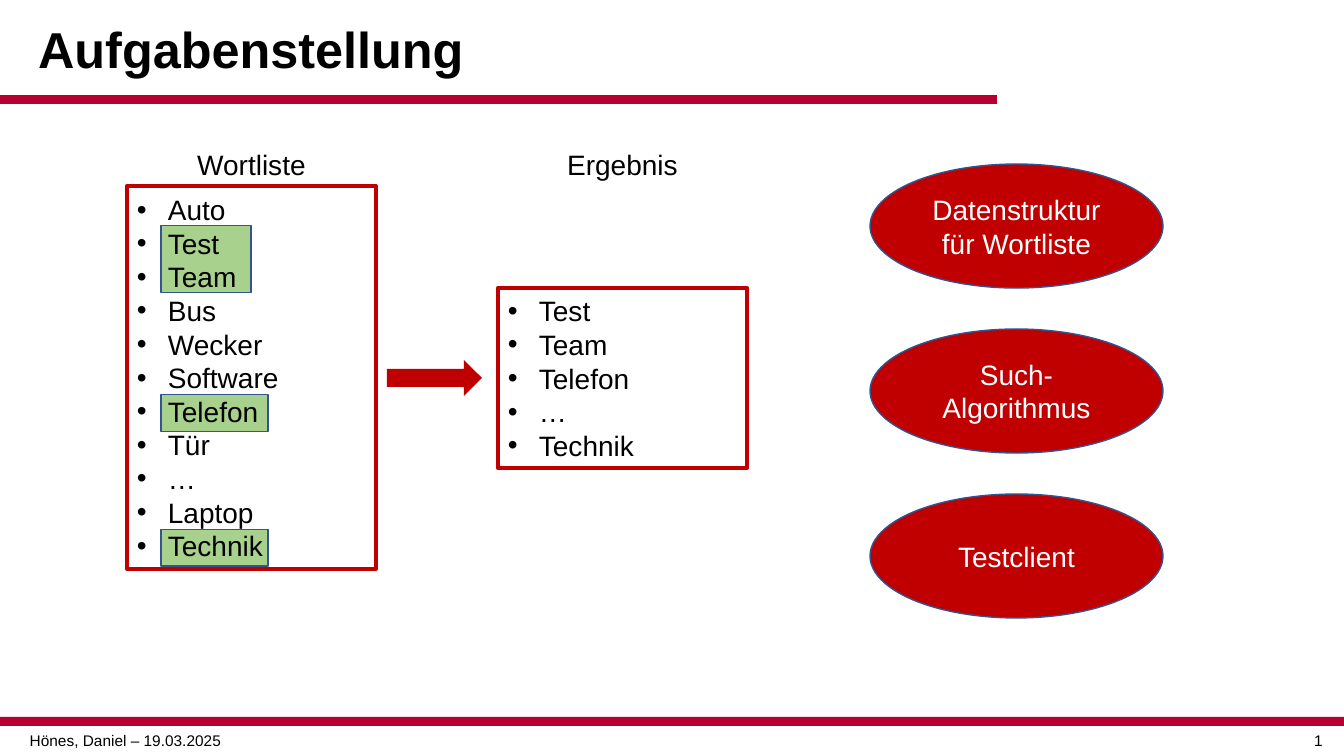
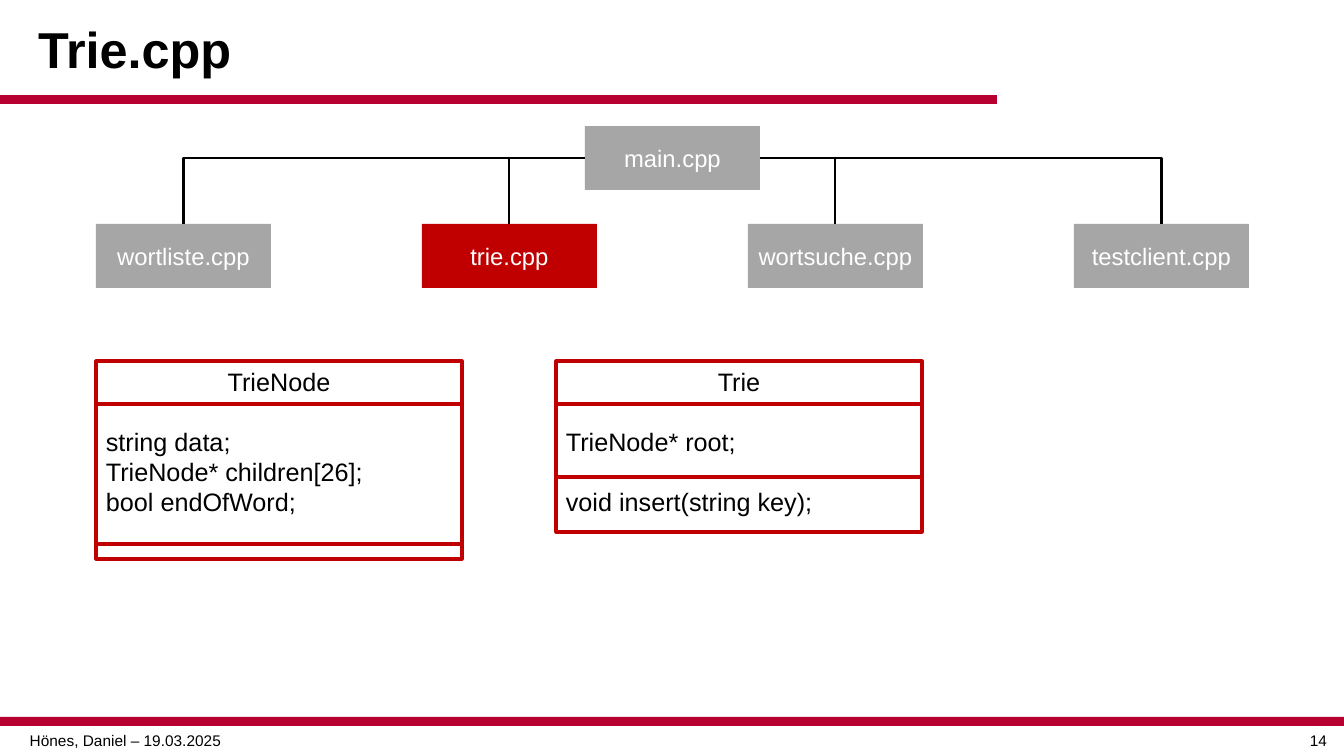
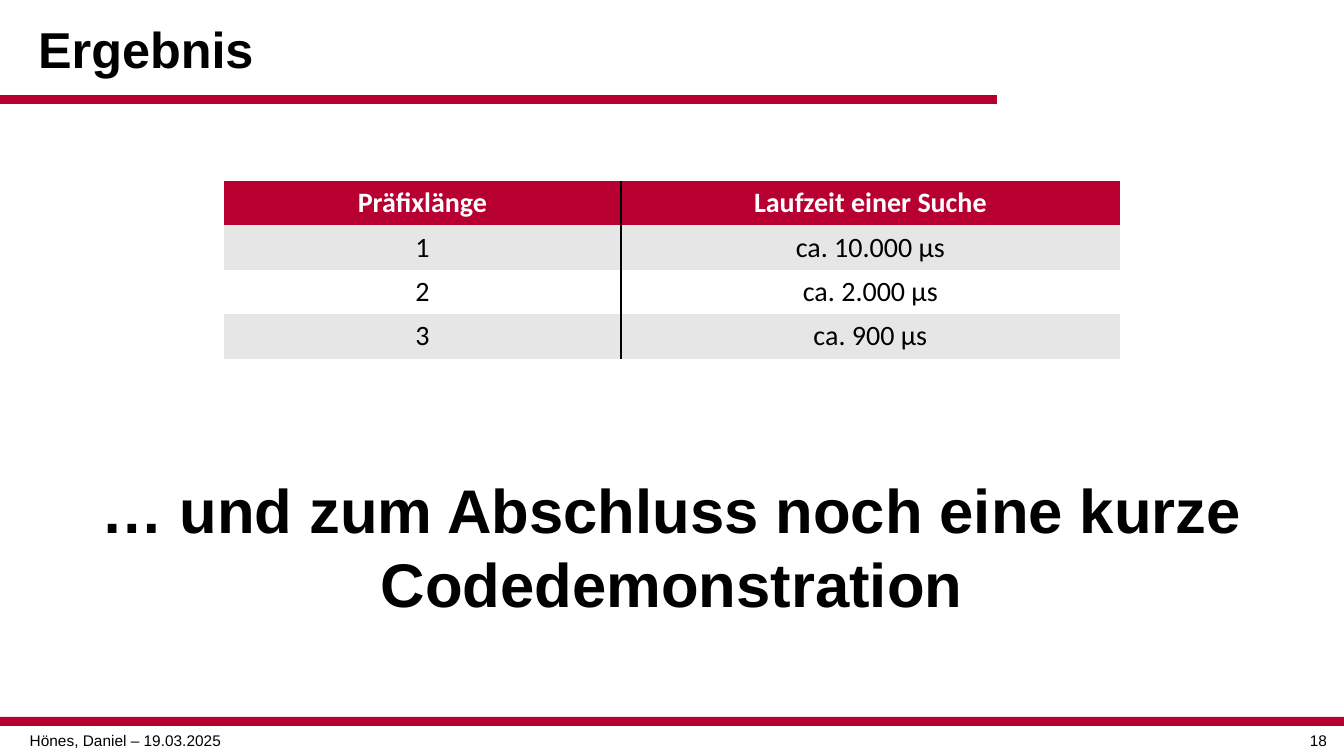
from lxml.etree import SubElement
from pptx import Presentation
from pptx.dml.color import RGBColor
from pptx.enum.shapes import MSO_CONNECTOR, MSO_SHAPE
from pptx.enum.text import MSO_ANCHOR, MSO_AUTO_SIZE, PP_ALIGN
from pptx.oxml import parse_xml
from pptx.oxml.ns import nsdecls, qn
from pptx.util import Emu, Pt

SLIDE_W, SLIDE_H = 1344, 756
SCALE = 12192000 / SLIDE_W
COLORS = {
    "band": "B70031", "red": "C00000", "green": "A9D18E", "blue": "325491",
    "gray": "A6A6A6", "stripe": "E6E6E6", "black": "000000", "white": "FFFFFF",
}
NO_TABLE_STYLE = "{2D5ABB26-0587-4C30-8999-92F81FD0307C}"
TITLE_FORMAT = {"size": 36, "bold": True}
BULLET_INDENT = 31
INSET = 6


def px(length):
    return Emu(round(length * SCALE))


def px_box(*lengths):
    return [px(length) for length in lengths]


def rgb(name):
    return RGBColor.from_string(COLORS[name])


def set_all(target, values):
    for attribute, value in values.items():
        setattr(target, attribute, value)


# Text

def set_font(paragraph, size, color="black", bold=False, name="Arial"):
    set_all(paragraph.font, {"size": Pt(size), "bold": bold, "name": name})
    paragraph.font.color.rgb = rgb(color)


def add_bullet(paragraph):
    properties = paragraph._p.get_or_add_pPr()
    properties.set("marL", str(px(BULLET_INDENT)))
    properties.set("indent", str(-px(BULLET_INDENT)))
    SubElement(properties, qn("a:buFont"), typeface="Arial")
    SubElement(properties, qn("a:buChar"), char="•")


def write(frame, lines, align=PP_ALIGN.CENTER, anchor=MSO_ANCHOR.MIDDLE,
          wrap=True, bullets=False, **font):
    set_all(frame, {"word_wrap": wrap, "vertical_anchor": anchor,
                    "auto_size": MSO_AUTO_SIZE.NONE})
    for index, line in enumerate(lines):
        paragraph = frame.add_paragraph() if index else frame.paragraphs[0]
        paragraph.text = line
        paragraph.alignment = align
        if bullets:
            add_bullet(paragraph)
        set_font(paragraph, **font)
    return frame


def add_label(slide, box, text, **style):
    label = slide.shapes.add_textbox(*px_box(*box))
    write(label.text_frame, [text], **style)


# Shapes and lines

def add_block(slide, kind, box, fill=None, line=None, width=1):
    block = slide.shapes.add_shape(kind, *px_box(*box))
    block.shadow.inherit = False
    if fill:
        block.fill.solid()
        block.fill.fore_color.rgb = rgb(fill)
    else:
        block.fill.background()
    if line:
        block.line.color.rgb = rgb(line)
        block.line.width = Pt(width)
    else:
        block.line.fill.background()
    return block


def add_line(slide, kind, start, end, color, width):
    line = slide.shapes.add_connector(kind, *px_box(*start, *end))
    line.line.color.rgb = rgb(color)
    line.line.width = Pt(width)
    SubElement(line._element.spPr, qn("a:effectLst"))
    return line


# Frame shared by all slides

def add_framed_slide(deck, title, number):
    slide = deck.slides.add_slide(deck.slide_layouts[5])
    heading = slide.shapes.title
    left, top, width, height = px_box(28, 9, 1131, 86)
    set_all(heading, {"left": left, "top": top, "width": width, "height": height})
    write(heading.text_frame, [title], align=PP_ALIGN.LEFT, **TITLE_FORMAT)
    heading.text_frame.paragraphs[0].line_spacing = 0.9
    for band in ((0, 95, 997, 9), (0, 717, SLIDE_W, 9)):
        add_block(slide, MSO_SHAPE.RECTANGLE, band, fill="band")
    for box, text in (((0, 726, 251, 29), "Hönes, Daniel – 19.03.2025"),
                      ((1293, 726, 51, 29), str(number))):
        add_label(slide, box, text, anchor=MSO_ANCHOR.TOP, size=11)
    return slide


# Word lists and components

def add_word_list(slide, box, words, marks=()):
    left, top, width, height = box
    row_height = (height - 2 * INSET) / len(words)
    for row, mark_width, mark_height in marks:
        mark = (left + 34, top + INSET + row * row_height, mark_width, mark_height)
        add_block(slide, MSO_SHAPE.RECTANGLE, mark, fill="green", line="blue")
    frame = add_block(slide, MSO_SHAPE.RECTANGLE, box, line="red", width=3)
    write(frame.text_frame, words, align=PP_ALIGN.LEFT, bullets=True, size=20)


def add_components(slide, box, names):
    left, top, width, height = box
    for index, name in enumerate(names):
        oval = add_block(slide, MSO_SHAPE.OVAL,
                         (left, top + index * 165, width, height),
                         fill="red", line="blue")
        write(oval.text_frame, [name], size=20, color="white")


def build_task(deck):
    slide = add_framed_slide(deck, "Aufgabenstellung", 1)
    for left, heading in ((127, "Wortliste"), (498, "Ergebnis")):
        add_label(slide, (left, 142, 249, 44), heading, size=20)
    words = ["Auto", "Test", "Team", "Bus", "Wecker", "Software", "Telefon",
             "Tür", "…", "Laptop", "Technik"]
    add_word_list(slide, (127, 186, 249, 383), words,
                  marks=[(10, 107, 37), (6, 107, 37), (1, 90, 67)])
    add_word_list(slide, (498, 288, 249, 180),
                  ["Test", "Team", "Telefon", "…", "Technik"])
    add_block(slide, MSO_SHAPE.RIGHT_ARROW, (387, 360, 95, 36), fill="red")
    add_components(slide, (870, 164, 293, 124),
                   ["Datenstruktur für Wortliste", "Such-Algorithmus", "Testclient"])


# File tree and class boxes

def add_file_node(slide, left, top, name, fill="gray"):
    node = add_block(slide, MSO_SHAPE.RECTANGLE, (left, top, 175, 64), fill=fill)
    write(node.text_frame, [name], wrap=False, size=17, color="white")
    return node


def add_file_tree(slide, left, top, root_name, names, active):
    root = add_file_node(slide, left + 489, top, root_name)
    for index, name in enumerate(names):
        node = add_file_node(slide, left + index * 326, top + 98, name,
                             fill="red" if name == active else "gray")
        branch = add_line(slide, MSO_CONNECTOR.ELBOW, (0, 0), (1, 1), "black", 1.5)
        branch.begin_connect(root, 1 if index < len(names) / 2 else 3)
        branch.end_connect(node, 0)
        geometry = branch._element.spPr.find(qn("a:prstGeom"))
        geometry.set("prst", "bentConnector2")


def add_class_box(slide, box, name, sections, dividers):
    left, top, width, height = box
    outline = add_block(slide, MSO_SHAPE.RECTANGLE, box, line="red", width=2.25)
    members = [member for section in sections for member in section]
    frame = write(outline.text_frame, [name, *members], align=PP_ALIGN.LEFT,
                  anchor=MSO_ANCHOR.TOP, size=18)
    frame.paragraphs[0].alignment = PP_ALIGN.CENTER
    first = 1
    for section in sections:
        frame.paragraphs[first].space_before = Pt(21.5)
        first += len(section)
    for offset in dividers:
        y = top + offset
        add_line(slide, MSO_CONNECTOR.STRAIGHT, (left, y), (left + width, y),
                 "red", 2.25)


def build_trie(deck):
    slide = add_framed_slide(deck, "Trie.cpp", 14)
    add_file_tree(slide, 96, 126, "main.cpp",
                  ["wortliste.cpp", "trie.cpp", "wortsuche.cpp", "testclient.cpp"],
                  active="trie.cpp")
    add_class_box(slide, (96, 361, 366, 198), "TrieNode",
                  [["string data;", "TrieNode* children[26];", "bool endOfWord;"]],
                  dividers=(43, 183))
    add_class_box(slide, (556, 361, 366, 171), "Trie",
                  [["TrieNode* root;"], ["void insert(string key);"]],
                  dividers=(43, 116))


# Runtime table

def add_cell_border(cell, side):
    border = parse_xml(
        f'<a:{side} {nsdecls("a")} w="{Pt(1)}"><a:solidFill>'
        f'<a:srgbClr val="{COLORS["black"]}"/></a:solidFill></a:{side}>')
    cell._tc.get_or_add_tcPr().insert(0, border)


def add_runtime_table(slide, left, top, column_widths, row_height, rows):
    box = (left, top, sum(column_widths), row_height * len(rows))
    table = slide.shapes.add_table(len(rows), len(column_widths), *px_box(*box)).table
    set_all(table, {"first_row": False, "horz_banding": False})
    table._tbl.tblPr.find(qn("a:tableStyleId")).text = NO_TABLE_STYLE
    for column, width in zip(table.columns, column_widths):
        column.width = px(width)
    for row_index, values in enumerate(rows):
        header = row_index == 0
        fill = "band" if header else "stripe" if row_index % 2 else "white"
        for column_index, value in enumerate(values):
            cell = table.cell(row_index, column_index)
            cell.fill.solid()
            cell.fill.fore_color.rgb = rgb(fill)
            paragraph = cell.text_frame.paragraphs[0]
            paragraph.text = value
            paragraph.alignment = PP_ALIGN.CENTER
            set_font(paragraph, 20, "white" if header else "black", header, "Calibri")
            add_cell_border(cell, "lnL" if column_index else "lnR")


def build_result(deck):
    slide = add_framed_slide(deck, "Ergebnis", 18)
    add_label(slide, (0, 374, SLIDE_W, 343),
              "… und zum Abschluss noch eine kurze Codedemonstration",
              size=44, bold=True)
    add_runtime_table(slide, 224, 181, (397, 499), 44, [
        ("Präfixlänge", "Laufzeit einer Suche"),
        ("1", "ca. 10.000 μs"),
        ("2", "ca. 2.000 μs"),
        ("3", "ca. 900 μs"),
    ])


def main():
    deck = Presentation()
    set_all(deck, {"slide_width": px(SLIDE_W), "slide_height": px(SLIDE_H)})
    for build in (build_task, build_trie, build_result):
        build(deck)
    deck.save("out.pptx")


if __name__ == "__main__":
    main()
